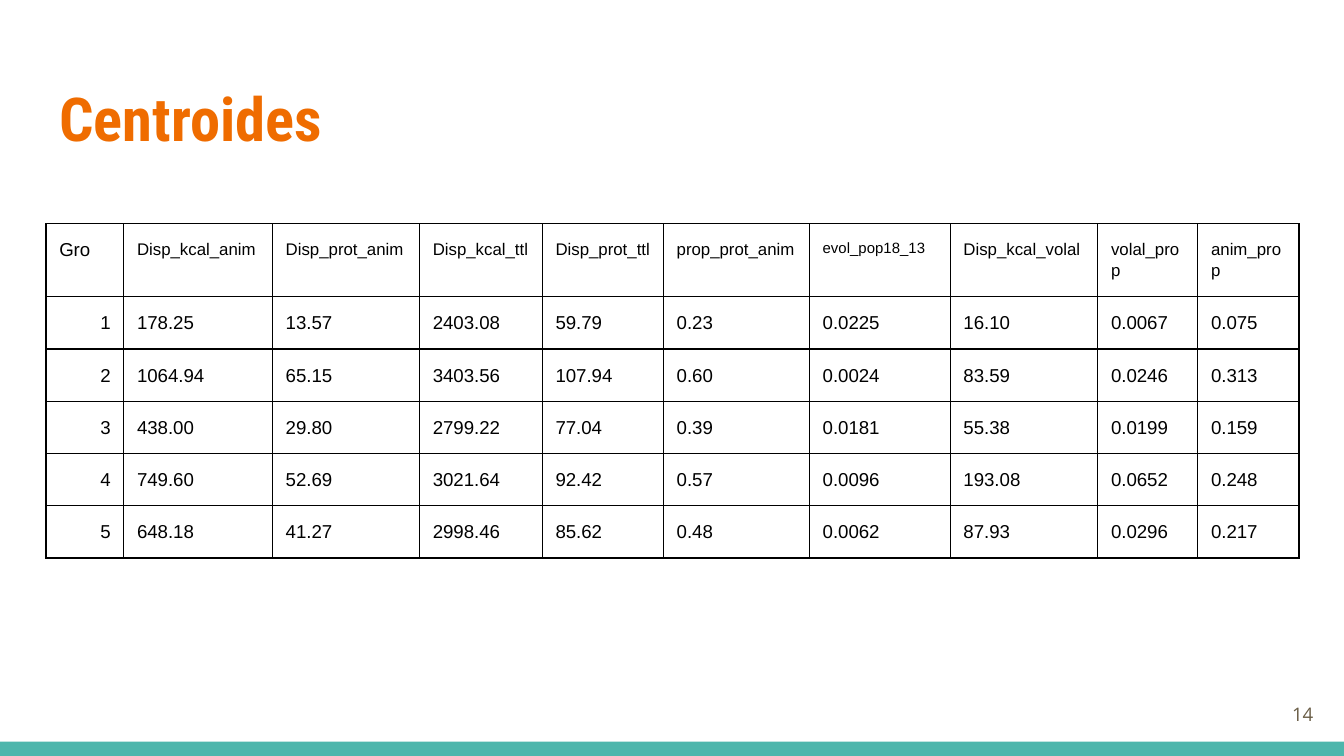
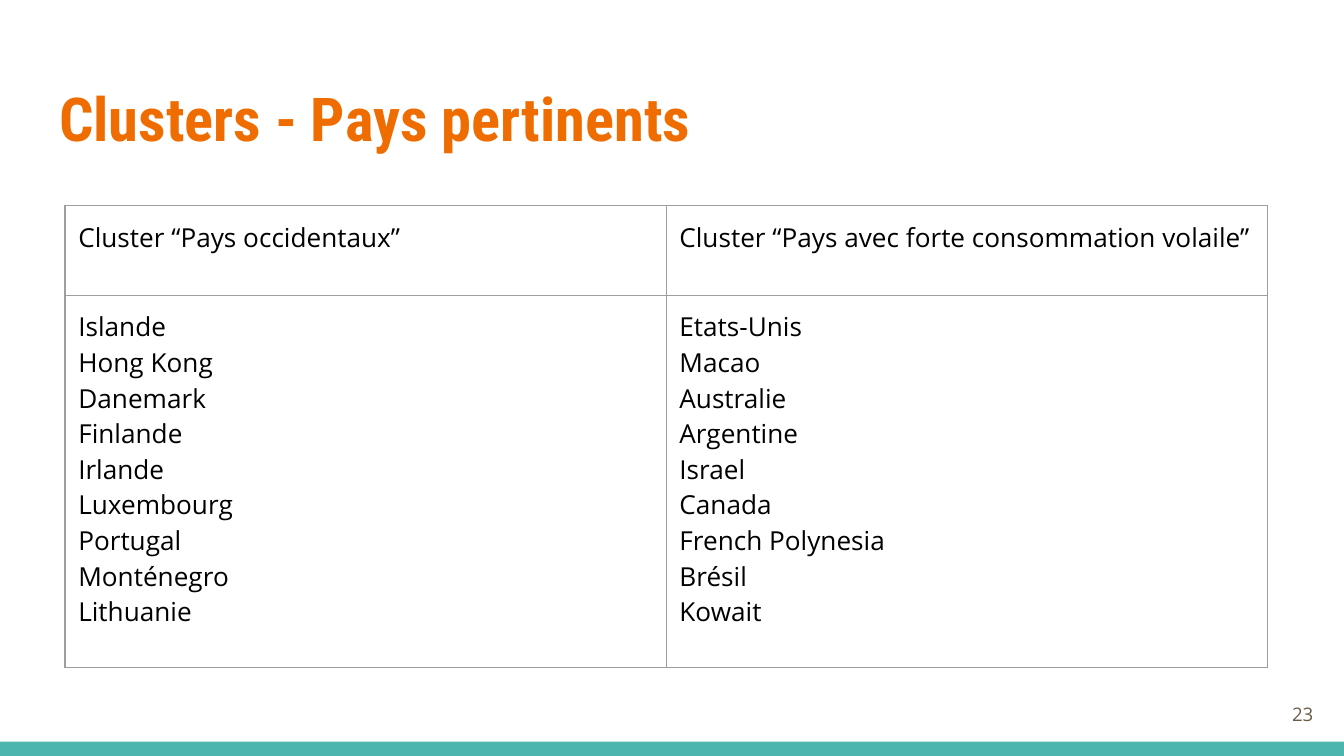
import pptx
import pptx.dml.color
import pptx.enum.shapes
import pptx.enum.text
import pptx.oxml
import pptx.oxml.ns
import pptx.util

Cm = pptx.util.Cm
Pt = pptx.util.Pt
ALIGN = pptx.enum.text.PP_ALIGN
MIDDLE = pptx.enum.text.MSO_ANCHOR.MIDDLE

COLORS = {
    "band": "4DB6AC",
    "title": "EF6C00",
    "page": "695D46",
    "text": "000000",
    "grid": "9E9E9E",
}
INSET = Cm(0.25)
WIDTH, HEIGHT = Cm(25.4), Cm(14.29)

HEADS = ["Gro", "Disp_kcal_anim", "Disp_prot_anim", "Disp_kcal_ttl", "Disp_prot_ttl",
         "prop_prot_anim", "evol_pop18_13", "Disp_kcal_volal", "volal_prop", "anim_prop"]
GROUPS = [
    ["1", "178.25", "13.57", "2403.08", "59.79", "0.23", "0.0225", "16.10", "0.0067", "0.075"],
    ["2", "1064.94", "65.15", "3403.56", "107.94", "0.60", "0.0024", "83.59", "0.0246", "0.313"],
    ["3", "438.00", "29.80", "2799.22", "77.04", "0.39", "0.0181", "55.38", "0.0199", "0.159"],
    ["4", "749.60", "52.69", "3021.64", "92.42", "0.57", "0.0096", "193.08", "0.0652", "0.248"],
    ["5", "648.18", "41.27", "2998.46", "85.62", "0.48", "0.0062", "87.93", "0.0296", "0.217"],
]
GROUP_COLS = [1.47, 2.81, 2.78, 2.32, 2.29, 2.76, 2.66, 2.79, 1.89, 1.91]

WEST = ["Islande", "Hong Kong", "Danemark", "Finlande", "Irlande", "Luxembourg",
        "Portugal", "Monténegro", "Lithuanie"]
POULTRY = ["Etats-Unis", "Macao", "Australie", "Argentine", "Israel", "Canada",
           "French Polynesia", "Brésil", "Kowait"]


def rgb(name):
    return pptx.dml.color.RGBColor.from_string(COLORS[name])


def style(frame, face, size, color, bold=False, align=ALIGN.LEFT, spacing=1.0):
    frame.word_wrap = True
    for para in frame.paragraphs:
        para.alignment = align
        para.line_spacing = spacing
        for run in para.runs:
            font = run.font
            font.name, font.size, font.bold = face, Pt(size), bold
            font.color.rgb = rgb(color)


def pad(box):
    """Give a text frame or a table cell the common inset."""
    box.margin_left = box.margin_right = INSET
    box.margin_top = box.margin_bottom = INSET


def add_band(slide):
    tall = Cm(0.27)
    band = slide.shapes.add_shape(
        pptx.enum.shapes.MSO_SHAPE.RECTANGLE, 0, HEIGHT - tall, WIDTH, tall)
    band.shadow.inherit = False
    band.fill.solid()
    band.fill.fore_color.rgb = rgb("band")
    band.line.fill.background()


def set_title(slide, text):
    title = slide.shapes.title
    title.left, title.top = Cm(0.87), Cm(1.24)
    title.width, title.height = Cm(23.67), Cm(1.96)
    frame = title.text_frame
    frame.text = text
    frame.auto_size = pptx.enum.text.MSO_AUTO_SIZE.NONE
    frame.vertical_anchor = MIDDLE
    pad(frame)
    style(frame, "Roboto Condensed", 32.4, "title", bold=True)


def add_page(slide, number):
    box = slide.shapes.add_textbox(Cm(23.55), Cm(12.95), Cm(1.52), Cm(1.09))
    frame = box.text_frame
    frame.text = str(number)
    frame.vertical_anchor = MIDDLE
    pad(frame)
    style(frame, "Open Sans", 10, "page", align=ALIGN.RIGHT)


def add_slide(deck, title, number):
    slide = deck.slides.add_slide(deck.slide_layouts[5])
    add_band(slide)
    set_title(slide, title)
    add_page(slide, number)
    return slide


def set_edges(cell, color):
    props = cell._tc.get_or_add_tcPr()
    for side in "LRTB":
        props.append(pptx.oxml.parse_xml(
            f'<a:ln{side} {pptx.oxml.ns.nsdecls("a")} w="{Pt(0.75)}"><a:solidFill>'
            f'<a:srgbClr val="{COLORS[color]}"/></a:solidFill></a:ln{side}>'))


def add_table(slide, left, top, cols, rows, data, edge):
    """Add a plain ruled table; cols and rows are sizes in centimetres."""
    table = slide.shapes.add_table(
        len(rows), len(cols), Cm(left), Cm(top), Cm(sum(cols)), Cm(sum(rows))).table
    table.first_row = table.horz_banding = False
    for col, wide in zip(table.columns, cols):
        col.width = Cm(wide)
    for row, tall, texts in zip(table.rows, rows, data):
        row.height = Cm(tall)
        for cell, text in zip(row.cells, texts):
            cell.text_frame.text = text
            pad(cell)
            set_edges(cell, edge)
            cell.fill.background()
    return table


def add_groups(slide):
    rows = [1.34] + [0.96] * len(GROUPS)
    table = add_table(slide, 0.87, 4.23, GROUP_COLS, rows, [HEADS] + GROUPS, "text")
    sizes = {"Gro": 10, "evol_pop18_13": 8}
    for r, row in enumerate(table.rows):
        for c, cell in enumerate(row.cells):
            size = 10 if r else sizes.get(HEADS[c], 9)
            align = ALIGN.RIGHT if r and c == 0 else ALIGN.LEFT
            style(cell.text_frame, "Arial", size, "text", align=align, spacing=1.15)


def add_lands(slide):
    data = [
        ["Cluster “Pays occidentaux”", "Cluster “Pays avec forte consommation volaile”"],
        ["\n".join(WEST), "\n".join(POULTRY)],
    ]
    table = add_table(slide, 1.23, 3.89, [11.36] * 2, [1.7, 7.03], data, "grid")
    for cell in table.iter_cells():
        style(cell.text_frame, "Open Sans", 14, "text")


def main():
    deck = pptx.Presentation()
    deck.slide_width, deck.slide_height = WIDTH, HEIGHT
    add_groups(add_slide(deck, "Centroides", 14))
    add_lands(add_slide(deck, "Clusters - Pays pertinents", 23))
    deck.save("out.pptx")


if __name__ == "__main__":
    main()
